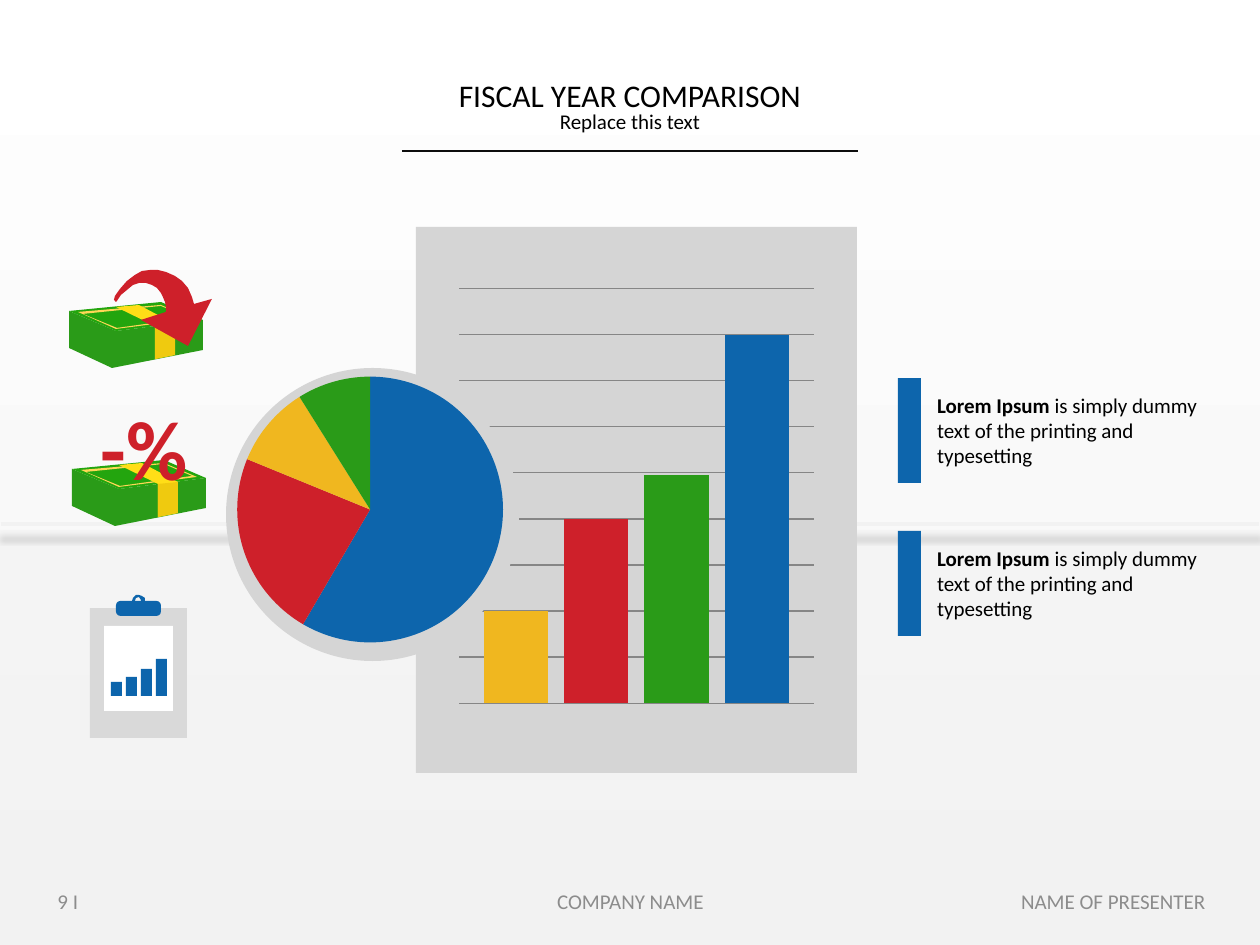
import pptx
import pptx.chart.data
import pptx.dml.color
import pptx.enum.chart
import pptx.enum.shapes
import pptx.enum.text
import pptx.oxml
import pptx.oxml.ns
import pptx.util
from lxml import etree

RGB = pptx.dml.color.RGBColor
WHITE = RGB(0xFF, 0xFF, 0xFF)
BLACK = RGB(0, 0, 0)
INK = RGB(0x0D, 0x0D, 0x0D)
MIST = RGB(0xF2, 0xF2, 0xF2)
PAPER = RGB(0xD5, 0xD5, 0xD5)
BOARD = RGB(0xD9, 0xD9, 0xD9)
GRID = RGB(0x86, 0x86, 0x86)
MUTED = RGB(0x8C, 0x8C, 0x8C)
BLUE = RGB(0x0D, 0x65, 0xAC)
RED = RGB(0xCE, 0x20, 0x2A)
YELLOW = RGB(0xF0, 0xB7, 0x1F)
GREEN = RGB(0x2A, 0x9B, 0x18)
NOTE_GREEN = RGB(0x23, 0xA5, 0x0E)
NOTE_EDGE = RGB(0xFF, 0xD7, 0x57)
BAND = RGB(0xFF, 0xDE, 0x17)
BAND_SIDE = RGB(0xEF, 0xCA, 0x0F)

SCALE = 914400 / 126
KIND = pptx.enum.shapes.MSO_SHAPE
CHART = pptx.enum.chart.XL_CHART_TYPE
ALIGN = pptx.enum.text.PP_ALIGN
ANCHOR = pptx.enum.text.MSO_ANCHOR
qn = pptx.oxml.ns.qn


def px(*lengths):
    return [pptx.util.Emu(round(n * SCALE)) for n in lengths]


def assign(target, **values):
    for name, value in values.items():
        setattr(target, name, value)


class Page:
    """Draws styled elements on one slide, measured in pixels."""

    def __init__(self, slide, font="Calibri"):
        self.slide = slide
        self.shapes = slide.shapes
        self.font = font

    def paint(self, shape, color):
        shape.shadow.inherit = False
        shape.line.fill.background()
        shape.fill.solid()
        shape.fill.fore_color.rgb = color
        return shape

    def shape(self, box, color, kind=KIND.RECTANGLE):
        return self.paint(self.shapes.add_shape(kind, *px(*box)), color)

    def outline(self, color, *contours, dx=0, dy=0):
        builder = None
        for contour in contours:
            points = [(x + dx, y + dy) for x, y in contour]
            if builder is None:
                builder = self.shapes.build_freeform(*points[0], scale=SCALE)
            else:
                builder.move_to(*points[0])
            builder.add_line_segments(points[1:], close=True)
        return self.paint(builder.convert_to_shape(), color)

    def line(self, start, end, color, width):
        rule = self.shapes.add_connector(
            pptx.enum.shapes.MSO_CONNECTOR.STRAIGHT, *px(*start, *end))
        rule.line.color.rgb = color
        rule.line.width = pptx.util.Pt(width)
        return etree.SubElement(rule.element.spPr, qn("a:effectLst"))

    def text(self, box, paragraphs, frame=None, **paragraph_format):
        body = self.shapes.add_textbox(*px(*box)).text_frame
        assign(body, **{"word_wrap": True, **(frame or {})})
        for index, runs in enumerate(paragraphs):
            line = body.add_paragraph() if index else body.paragraphs[0]
            assign(line, **paragraph_format)
            for words, size, color, bold in runs:
                run = line.add_run()
                run.text = words
                run.font.color.rgb = color
                assign(run.font, name=self.font, size=pptx.util.Pt(size), bold=bold)

    def chart(self, kind, box, categories, series, size, layout):
        data = pptx.chart.data.CategoryChartData()
        data.categories = categories
        for name, values in series:
            data.add_series(name, values)
        chart = self.shapes.add_chart(kind, *px(*box), data).chart
        assign(chart, has_legend=False, has_title=False)
        assign(chart.font, name=self.font, size=pptx.util.Pt(size))
        chart.font.color.rgb = BLACK
        area = chart.element.find(".//" + qn("c:plotArea"))
        for old in area.findall(qn("c:layout")):
            area.remove(old)
        place = etree.Element(qn("c:layout"))
        manual = etree.SubElement(place, qn("c:manualLayout"))
        settings = [("layoutTarget", "inner"), ("xMode", "edge"), ("yMode", "edge"),
                    *zip("xywh", layout)]
        for tag, value in settings:
            etree.SubElement(manual, qn("c:" + tag)).set("val", str(value))
        area.insert(0, place)
        return chart


deck = pptx.Presentation()
assign(deck, slide_width=px(1260)[0], slide_height=px(945)[0])
page = Page(deck.slides.add_slide(deck.slide_layouts[6]))

backdrop = page.shape((0, 0, 1260, 945), WHITE)
backdrop.fill.gradient()
backdrop.fill.gradient_angle = 270
for stop, color in zip(backdrop.fill.gradient_stops, (WHITE, MIST)):
    stop.color.rgb = color
floor = page.shape((0, 530, 1260, 415), MIST)
tint = floor.element.spPr.find(".//" + qn("a:srgbClr"))
etree.SubElement(tint, qn("a:alpha")).set("val", "49000")
horizon = page.line((1, 524), (1259, 524), MIST, 2)
horizon.append(pptx.oxml.parse_xml(
    '<a:outerShdw xmlns:a="http://schemas.openxmlformats.org/drawingml/2006/main" '
    'blurRad="39000" dist="101600" dir="5400000" rotWithShape="0">'
    '<a:srgbClr val="000000"><a:alpha val="16000"/></a:srgbClr></a:outerShdw>'))

page.shape((416, 227, 441, 546), PAPER)
columns = page.chart(
    CHART.COLUMN_CLUSTERED, (452, 280, 369, 432), ["1"],
    [(f"Series {n}", [value]) for n, value in enumerate((25, 50, 62, 100), 1)],
    18, (0.02, 0.02, 0.96, 0.96))
assign(columns.plots[0], gap_width=75, overlap=-25, vary_by_categories=False)
for series, color in zip(columns.plots[0].series, (YELLOW, RED, GREEN, BLUE)):
    series.format.fill.solid()
    series.format.fill.fore_color.rgb = color
columns.category_axis.visible = False
assign(columns.value_axis, visible=False, has_major_gridlines=True,
       minimum_scale=0, maximum_scale=112.5, major_unit=12.5)
gridline = columns.value_axis.major_gridlines.format.line
gridline.color.rgb = GRID
gridline.width = pptx.util.Pt(0.75)

page.shape((226, 368, 293, 293), PAPER, KIND.OVAL)
pie = page.chart(CHART.PIE, (158, 368, 433, 289), ["1", "2", "3", "4"],
                 [("Series 1", (59, 23, 10, 9))], 10, (0.02, 0.03, 0.94, 0.92))
for index, color in enumerate((BLUE, RED, YELLOW, GREEN)):
    slice_format = pie.plots[0].series[0].points[index].format
    slice_format.fill.solid()
    slice_format.fill.fore_color.rgb = color
    slice_format.line.fill.background()

page.text((428, 77, 404, 63),
          [[("FISCAL YEAR COMPARISON", 18, BLACK, False)],
           [("Replace this text", 12, BLACK, False)]],
          alignment=ALIGN.CENTER, line_spacing=0.8)
page.line((402, 151), (858, 151), INK, 1)

for top in (378, 531):
    page.shape((898, top, 23, 105), BLUE)
    page.text((937, top + 8, 281, 89),
              [[("Lorem Ipsum", 12, BLACK, True),
                (" is simply dummy text of the printing and typesetting", 12, BLACK, False)]],
              {"margin_left": 0, "margin_right": 0}, space_after=pptx.util.Pt(6))

band_side = [(175, 324), (175, 355), (155, 359), (155, 326)]
banknotes = [
    (GREEN, [(203, 350), (203, 320), (116, 331), (69, 311), (69, 348), (112, 368)]),
    (NOTE_GREEN, [(161, 302), (203, 320), (116, 331), (69, 311)]),
    (NOTE_EDGE, [(116, 329), (194, 319), (161, 305), (78, 312)],
     [(189, 318), (117, 328), (83, 314), (161, 306)]),
    (BAND, band_side + [(116, 307), (139, 305)]),
    (BAND_SIDE, band_side),
]
for dx, dy in ((0, 0), (3, 158)):
    for color, *contours in banknotes:
        page.outline(color, *contours, dx=dx, dy=dy)
page.outline(RED, [
    (188, 346), (141, 320), (166, 312), (166, 307), (165, 302), (163, 297), (161, 293),
    (157, 288), (152, 285), (146, 283), (139, 283), (133, 285), (127, 290), (121, 295),
    (117, 301), (116, 302), (115, 301), (114, 300), (115, 296), (120, 289), (127, 281),
    (135, 275), (142, 271), (150, 270), (158, 270), (166, 272), (175, 276), (182, 281),
    (188, 288), (192, 297), (194, 304), (212, 299)])
inset = px(13)[0]
page.text((88, 383, 113, 127), [[("-%", 48, RED, True)]],
          {"word_wrap": False, "vertical_anchor": ANCHOR.MIDDLE, "margin_left": inset,
           "margin_right": inset, "margin_top": inset, "margin_bottom": inset})

page.shape((90, 608, 97, 130), BOARD)
page.outline(BLUE, [(139, 597), (141, 600), (141, 601), (145, 601), (145, 598), (142, 596),
                    (139, 595), (136, 595), (133, 598), (132, 601), (135, 601), (136, 598)])
page.shape((116, 601, 45, 15), BLUE, KIND.ROUNDED_RECTANGLE).adjustments[0] = 0.3
page.shape((104, 626, 69, 85), WHITE)
for index, height in enumerate((14, 19, 27, 37)):
    page.shape((111 + 15 * index, 696 - height, 11, height), BLUE)

for left, width, words, alignment in (
        (45, 294, "9 I", ALIGN.LEFT),
        (431, 399, "COMPANY NAME", ALIGN.CENTER),
        (924, 294, "NAME OF PRESENTER", ALIGN.RIGHT)):
    page.text((left, 876, width, 50), [[(words, 12, MUTED, False)]],
              {"vertical_anchor": ANCHOR.MIDDLE}, alignment=alignment)

deck.save("out.pptx")
